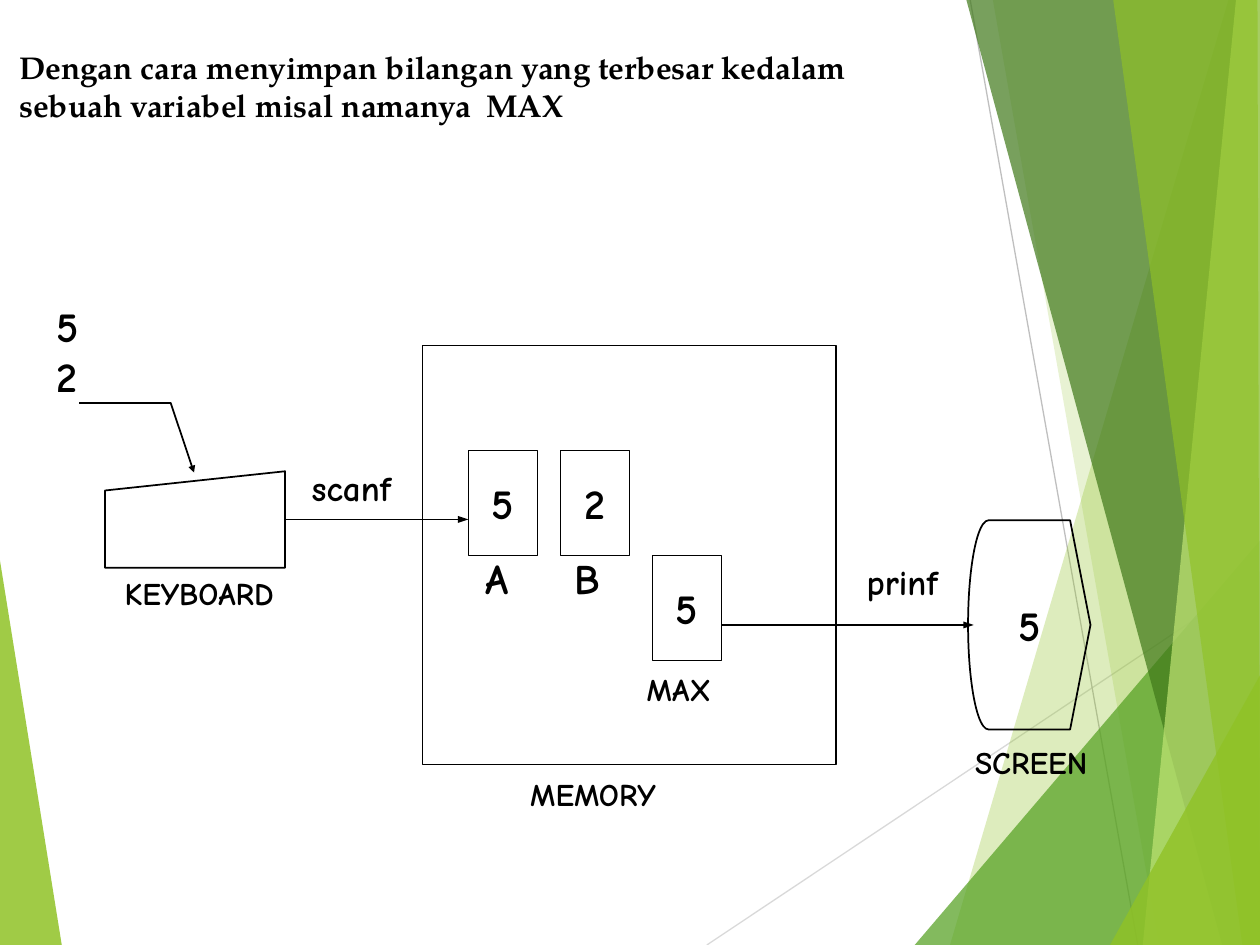
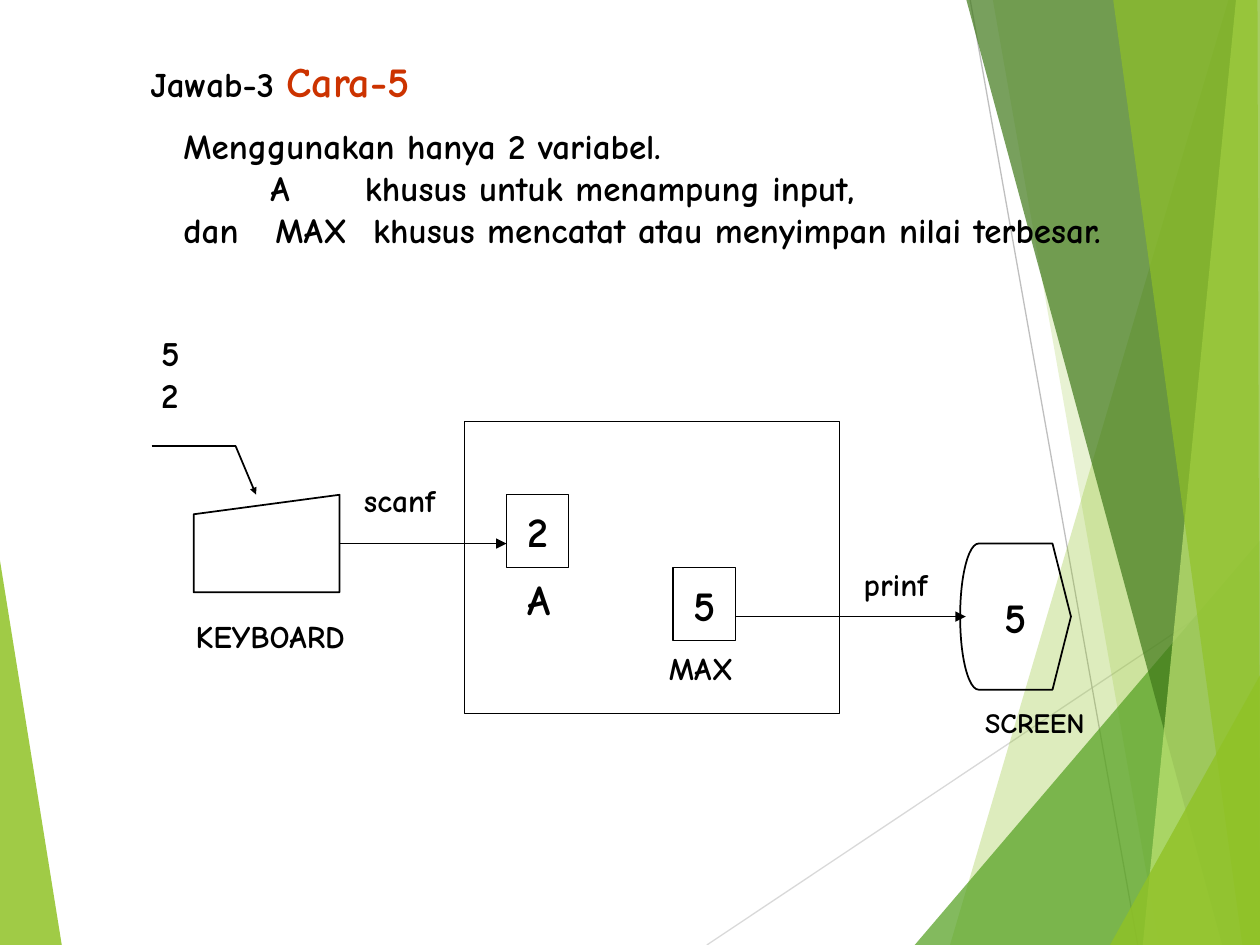
"""Build two slides on tracing the largest number through memory."""
import dataclasses
import typing

import lxml.etree
import pptx
import pptx.dml.color
import pptx.enum.shapes
import pptx.enum.text
import pptx.oxml.ns
import pptx.util

COLS, ROWS = 100, 75
UNIT = pptx.util.Inches(10) / COLS
SLACK = 2
HAND, SERIF = "Comic Neue", "TeX Gyre Pagella"
HUES = {
    "ink": "000000", "paper": "FFFFFF", "accent": "CC3300",
    "lime": "90C226", "leaf": "54A021", "moss": "3F7819", "pale": "C0E474",
    "mist": "D9D9D9", "ash": "BFBFBF",
}
KINDS = pptx.enum.shapes.MSO_SHAPE
Point = tuple[float, float]


class Box(typing.NamedTuple):
    """A frame in grid columns and rows."""
    left: float
    top: float
    width: float
    height: float

    @property
    def right(self) -> float:
        """Give the right edge."""
        return self.left + self.width

    @property
    def middle(self) -> float:
        """Give the row halfway down."""
        return self.top + self.height / 2


class Head(typing.NamedTuple):
    """The width and length of an arrowhead."""
    width: str
    length: str


class Band(typing.NamedTuple):
    """A see-through polygon of the backdrop."""
    hue: str
    alpha: int
    points: tuple[Point, ...]


class Label(typing.NamedTuple):
    """Free text with its frame and format."""
    text: str
    box: Box
    size: int = 18
    font: str = HAND
    tabs: tuple[tuple[float, ...], ...] = ()
    extra: str = ""


@dataclasses.dataclass
class Scene:
    """One flow from keyboard through memory to screen."""
    cells: list[tuple[str, Box]]
    store: Box
    keys: Box
    screen: Box
    hook: tuple[Point, Point, Point]
    head: Head
    labels: list[Label]


SMALL, SLIM, FULL = Head("sm", "sm"), Head("sm", "med"), Head("med", "med")
BANDS = (
    Band("lime", 85, ((0, 44.5), (4.9, ROWS), (0, ROWS))),
    Band("lime", 30, ((97.5, 0), (75.4, ROWS), (COLS, ROWS), (COLS, 0))),
    Band("lime", 20, ((78.8, 0), (92, ROWS), (COLS, ROWS), (COLS, 0))),
    Band("leaf", 72, ((72.6, ROWS), (COLS, 42.9), (COLS, ROWS))),
    Band("moss", 70, ((76.7, 0), (97, ROWS), (COLS, ROWS), (COLS, 0))),
    Band("pale", 70, ((98.1, 0), (90.7, ROWS), (COLS, ROWS), (COLS, 0))),
    Band("lime", 65, ((88.35, 0), (98.6, ROWS), (COLS, ROWS), (99.8, 0))),
    Band("lime", 80, ((88.1, ROWS), (COLS, 53.6), (COLS, ROWS))),
)
RAYS = (("mist", (56.1, ROWS), (COLS, 45.7)), ("ash", (77, 0), (90.3, ROWS)))


def grid(count: float) -> int:
    """Turn grid units into a length."""
    return round(count * UNIT)


def tint(name: str) -> pptx.dml.color.RGBColor:
    """Look up a colour."""
    return pptx.dml.color.RGBColor.from_string(HUES[name])


def node(parent, name: str, **attrs: str):
    """Append a drawing element."""
    return lxml.etree.SubElement(parent, pptx.oxml.ns.qn(name), **attrs)


def write(frame, text: str, *, size: int = 24, font: str = HAND, tabs=(),
          extra: str = "", centre: bool = False) -> None:
    """Fill a text frame, one paragraph a line."""
    frame.word_wrap = not centre
    for index, line in enumerate(text.split("\n")):
        para = frame.add_paragraph() if index else frame.paragraphs[0]
        if index < len(tabs) and tabs[index]:
            stops = node(para._p.get_or_add_pPr(), "a:tabLst")
            for stop in tabs[index]:
                node(stops, "a:tab", pos=str(grid(stop)), algn="l")
        if centre:
            para.alignment = pptx.enum.text.PP_ALIGN.CENTER
        runs = [(line, size, "ink")]
        if extra:
            runs.append((extra, 24, "accent"))
        for part, points, hue in runs:
            run = para.add_run()
            run.text = part
            run.font.name, run.font.bold = font, True
            run.font.size = pptx.util.Pt(points)
            run.font.color.rgb = tint(hue)


def label(slide, item: Label) -> None:
    """Place free text, with some slack on the right."""
    box = item.box._replace(width=item.box.width + SLACK)
    frame = slide.shapes.add_textbox(*map(grid, box)).text_frame
    write(frame, item.text, size=item.size, font=item.font, tabs=item.tabs,
          extra=item.extra)


def block(slide, kind, box: Box, text: str = "", fill: str = "",
          width: float = 1):
    """Draw an outlined preset shape."""
    shape = slide.shapes.add_shape(kind, *map(grid, box))
    shape.shadow.inherit = False
    if fill:
        shape.fill.solid()
        shape.fill.fore_color.rgb = tint(fill)
    else:
        shape.fill.background()
    shape.line.color.rgb = tint("ink")
    shape.line.width = pptx.util.Pt(width)
    if text:
        shape.text_frame.vertical_anchor = pptx.enum.text.MSO_ANCHOR.MIDDLE
        write(shape.text_frame, text, centre=True)
    return shape


def link(slide, start: Point, end: Point, hue: str = "ink",
         width: float = 1, head: Head | None = None) -> None:
    """Draw a straight line, with an arrowhead if given."""
    line = slide.shapes.add_connector(
        pptx.enum.shapes.MSO_CONNECTOR.STRAIGHT, *map(grid, start + end))
    line.line.color.rgb = tint(hue)
    line.line.width = pptx.util.Pt(width)
    if head:
        node(line.line._get_or_add_ln(), "a:tailEnd", type="triangle",
             w=head.width, len=head.length)
    node(line._element.spPr, "a:effectLst")


def band(slide, item: Band) -> None:
    """Draw one backdrop polygon."""
    first, *rest = [(grid(x), grid(y)) for x, y in item.points]
    path = slide.shapes.build_freeform(*first)
    path.add_line_segments(rest, close=True)
    shape = path.convert_to_shape()
    shape.shadow.inherit = False
    shape.line.fill.background()
    shape.fill.solid()
    shape.fill.fore_color.rgb = tint(item.hue)
    colour = shape._element.spPr.find(".//" + pptx.oxml.ns.qn("a:srgbClr"))
    node(colour, "a:alpha", val=str(item.alpha * 1000))


def backdrop(slide) -> None:
    """Draw the shared green facets and thin rays."""
    band(slide, BANDS[0])
    for hue, start, end in RAYS:
        link(slide, start, end, hue, 0.75)
    for item in BANDS[1:]:
        band(slide, item)


def draw(slide, scene: Scene) -> None:
    """Draw a whole scene."""
    backdrop(slide)
    for text, box in scene.cells:
        block(slide, KINDS.RECTANGLE, box, text, "paper", 0.75)
    block(slide, KINDS.RECTANGLE, scene.store, width=0.75)
    block(slide, KINDS.FLOWCHART_MANUAL_INPUT, scene.keys)
    screen = block(slide, KINDS.FLOWCHART_DISPLAY, scene.screen, "5")
    screen._element.spPr.find(pptx.oxml.ns.qn("a:xfrm")).set("flipH", "1")
    first, last = scene.cells[0][1], scene.cells[-1][1]
    row = scene.keys.middle
    link(slide, (scene.keys.right, row), (first.left, row), head=scene.head)
    row = scene.screen.middle
    link(slide, (last.right, row), (scene.screen.left + 0.45, row),
         head=scene.head)
    start, bend, tip = scene.hook
    link(slide, start, bend)
    link(slide, bend, tip, head=SMALL)
    for item in scene.labels:
        label(slide, item)


def trace() -> Scene:
    """Describe the flow with three variables."""
    wide, high, step = 5.47, 8.33, 7.3
    spots = (("5", 0), ("2", 0), ("5", 1))
    return Scene(
        cells=[(text, Box(37.17 + step * col, 35.74 + high * row, wide, high))
               for col, (text, row) in enumerate(spots)],
        store=Box(33.56, 27.4, 32.8, 33.3),
        keys=Box(8.33, 37.4, 14.3, 7.65),
        screen=Box(76.83, 41.3, 9.72, 16.6),
        hook=((6.3, 31.96), (13.54, 31.96), (15.4, 37.5)),
        head=SLIM,
        labels=[
            Label("A", Box(37.54, 43.34, 3.8, 5), 24),
            Label("B", Box(44.6, 43.34, 4, 5), 24),
            Label("MAX", Box(50.34, 52.7, 7.1, 4)),
            Label("KEYBOARD", Box(8.9, 45.1, 13.8, 4)),
            Label("SCREEN", Box(76.4, 58.5, 10.9, 4)),
            Label("MEMORY", Box(41.1, 61, 12, 4)),
            Label("scanf", Box(23.75, 36.5, 8.3, 4.4), 20),
            Label("prinf", Box(67.8, 44, 7.6, 4.4), 20),
            Label("5\n2", Box(3.5, 23.34, 3.7, 9), 24),
            Label("Dengan cara menyimpan bilangan yang terbesar kedalam\n"
                  "sebuah variabel misal namanya\tMAX",
                  Box(0.54, 3.3, 75.1, 7), font=SERIF, tabs=((), (37.05,))),
        ])


def answer() -> Scene:
    """Describe the flow with two variables."""
    wide, high = 4.95, 5.8
    return Scene(
        cells=[("2", Box(40.2, 39.25, wide, high)),
               ("5", Box(53.42, 39.25 + high, wide, high))],
        store=Box(36.87, 33.45, 29.76, 23.2),
        keys=Box(15.37, 39.27, 11.58, 7.74),
        screen=Box(76.2, 43.14, 8.8, 11.6),
        hook=((12.04, 35.4), (18.7, 35.4), (20.32, 39.25)),
        head=FULL,
        labels=[
            Label("A", Box(40.9, 45, 3.8, 5), 24),
            Label("MAX", Box(52.1, 51, 7.1, 4)),
            Label("KEYBOARD", Box(14.54, 48.5, 13.8, 4)),
            Label("SCREEN", Box(77.2, 55.5, 9.9, 3.7), 16),
            Label("scanf", Box(27.9, 37.7, 7.6, 4)),
            Label("prinf", Box(67.56, 44.34, 7.1, 4)),
            Label("5\n2", Box(11.8, 25.8, 3.5, 7.7), 20),
            Label("Menggunakan hanya 2 variabel.\n"
                  "\tA\tkhusus untuk menampung input,\n"
                  "dan\tMAX\tkhusus mencatat atau menyimpan nilai terbesar.",
                  Box(13.58, 9.4, 75.3, 11), 20,
                  tabs=((), (6.9, 14.4), (7.3, 15.05))),
            Label("Jawab-3 ", Box(10.95, 3.94, 22.7, 5), 20, extra="Cara-5"),
        ])


def main() -> None:
    """Build and save the deck."""
    deck = pptx.Presentation()
    deck.slide_width, deck.slide_height = grid(COLS), grid(ROWS)
    for scene in (trace(), answer()):
        draw(deck.slides.add_slide(deck.slide_layouts[6]), scene)
    deck.save("out.pptx")


if __name__ == "__main__":
    main()
